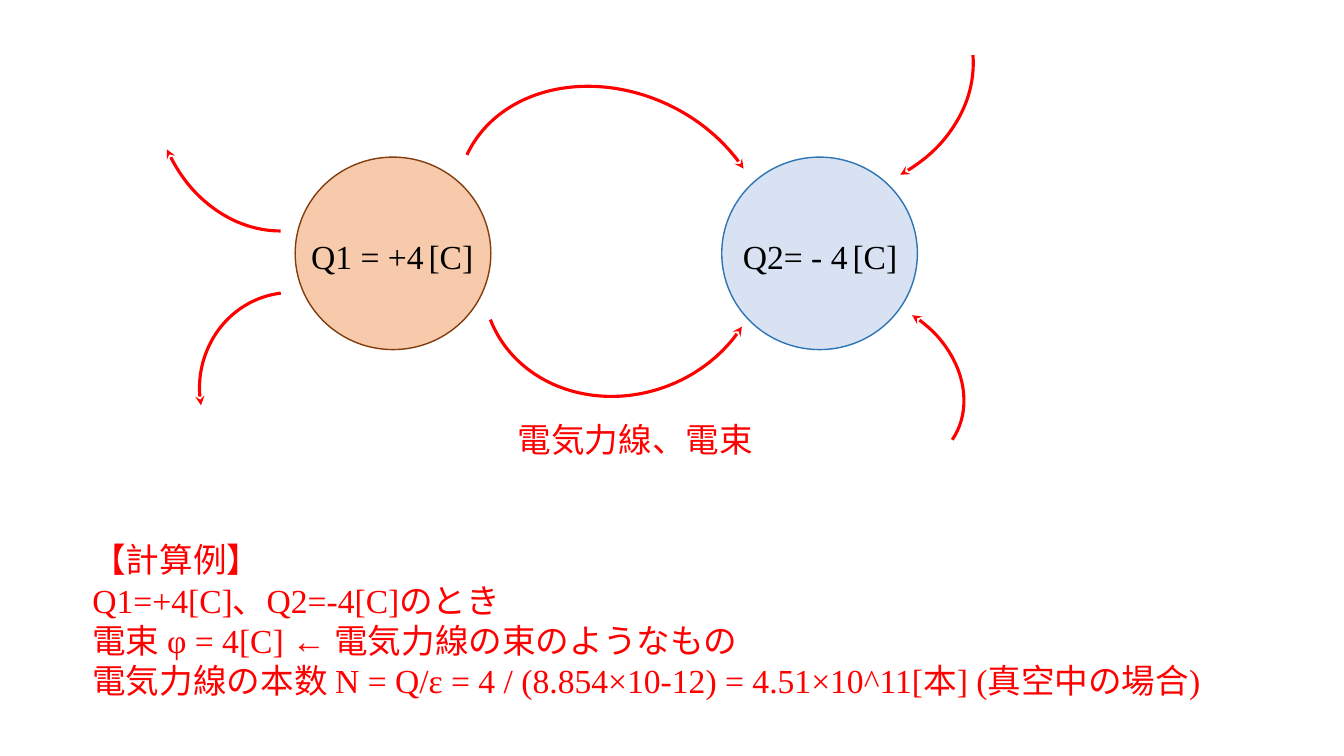
from dataclasses import dataclass

from lxml import etree
from pptx import Presentation
from pptx.dml.color import RGBColor
from pptx.enum.shapes import MSO_SHAPE
from pptx.oxml.ns import qn
from pptx.util import Cm, Pt

ARC = MSO_SHAPE.ARC
OVAL = MSO_SHAPE.OVAL
FONT = "Times New Roman"
RED = "FF0000"
BLACK = "000000"
ARC_START = 162  # 270 degrees, in units of 5/3 degree


@dataclass
class Charge:
    left: float
    text_left: float
    label: str
    fill: str
    line: str


@dataclass
class FieldLine:
    left: float
    top: float
    width: float
    height: float
    rotation: float
    end: float
    flip: bool = False


CHARGES = [
    Charge(7.44, 7.59, "Q1 = +4", "F7CAAC", "833C0B"),
    Charge(18.19, 18.47, "Q2= - 4", "D8E2F3", "2E75B5"),
]

FIELD_LINES = [
    FieldLine(12.14, 1.57, 6.58, 8.08, 295, 25.6),
    FieldLine(12.52, 3.18, 6.35, 7.16, 248.8, 25.6, flip=True),
    FieldLine(5.03, 7.37, 4.67, 4.88, 353.2, 1.89, flip=True),
    FieldLine(19.91, 7.19, 4.06, 4.98, 124.2, 1.89, flip=True),
    FieldLine(3.78, -2.26, 6.58, 8.08, 180, 195.2),
    FieldLine(17.2, -2.34, 6.58, 8.08, 85.6, 195.2),
]

EXAMPLE = [
    "【計算例】",
    "Q1=+4[C]、Q2=-4[C]のとき",
    "電束 φ = 4[C] ← 電気力線の束のようなもの",
    "電気力線の本数 N = Q/ε = 4 / (8.854×10-12) = 4.51×10^11[本] (真空中の場合)",
]


def rgb(value: str) -> RGBColor:
    return RGBColor.from_string(value)


def add_text(s, paragraphs: list, left: float, top: float, width: float, height: float, *,
             color: str = BLACK, size: float = 24, indent: float = 0,
             inset_y: float = 0.13, wrap: bool = True) -> None:
    """Each paragraph is a list of (text, size) runs; size None means the default."""
    tf = s.shapes.add_textbox(Cm(left), Cm(top), Cm(width), Cm(height)).text_frame
    tf.word_wrap = wrap
    tf.margin_top = tf.margin_bottom = Cm(inset_y)
    for i, runs in enumerate(paragraphs):
        p = tf.add_paragraph() if i else tf.paragraphs[0]
        if indent:
            p._p.get_or_add_pPr().set("marL", str(Cm(indent)))
        for text, run_size in runs:
            r = p.add_run()
            r.text = text
            r.font.name = FONT
            r.font.size = Pt(run_size or size)
            r.font.color.rgb = rgb(color)


def add_charge(s, charge: Charge) -> None:
    sp = s.shapes.add_shape(OVAL, Cm(charge.left), Cm(3.96), Cm(4.93), Cm(4.85))
    sp.shadow.inherit = False
    sp.fill.solid()
    sp.fill.fore_color.rgb = rgb(charge.fill)
    sp.line.color.rgb = rgb(charge.line)
    sp.line.width = Pt(1)
    label = [(charge.label, None), (" ", 14), ("[C]", None)]
    add_text(s, [label], charge.text_left, 5.82, 4.62, 1.27, wrap=False)


def add_field_line(s, line: FieldLine) -> None:
    sp = s.shapes.add_shape(ARC, Cm(line.left), Cm(line.top), Cm(line.width), Cm(line.height))
    sp.shadow.inherit = False
    sp.adjustments[0] = ARC_START
    sp.adjustments[1] = line.end
    sp.rotation = line.rotation
    if line.flip:
        sp._element.spPr.get_or_add_xfrm().set("flipH", "1")
    sp.fill.background()
    sp.line.color.rgb = rgb(RED)
    sp.line.width = Pt(2.25)
    etree.SubElement(sp.line._get_or_add_ln(), qn("a:tailEnd"), type="stealth")


def main() -> None:
    prs = Presentation()
    prs.slide_width, prs.slide_height = Cm(33.87), Cm(19.05)
    s = prs.slides.add_slide(prs.slide_layouts[6])
    for charge in CHARGES:
        add_charge(s, charge)
    for line in FIELD_LINES:
        add_field_line(s, line)
    add_text(s, [[(text, None)] for text in EXAMPLE], 0.81, 13.46, 31.57, 4.37,
             color=RED, indent=1.27)
    add_text(s, [[("電気力線、電束", None)]], 11.53, 10.31, 8.33, 2.57,
             color=RED, indent=1.27, inset_y=0.25)
    prs.save("out.pptx")


if __name__ == "__main__":
    main()
